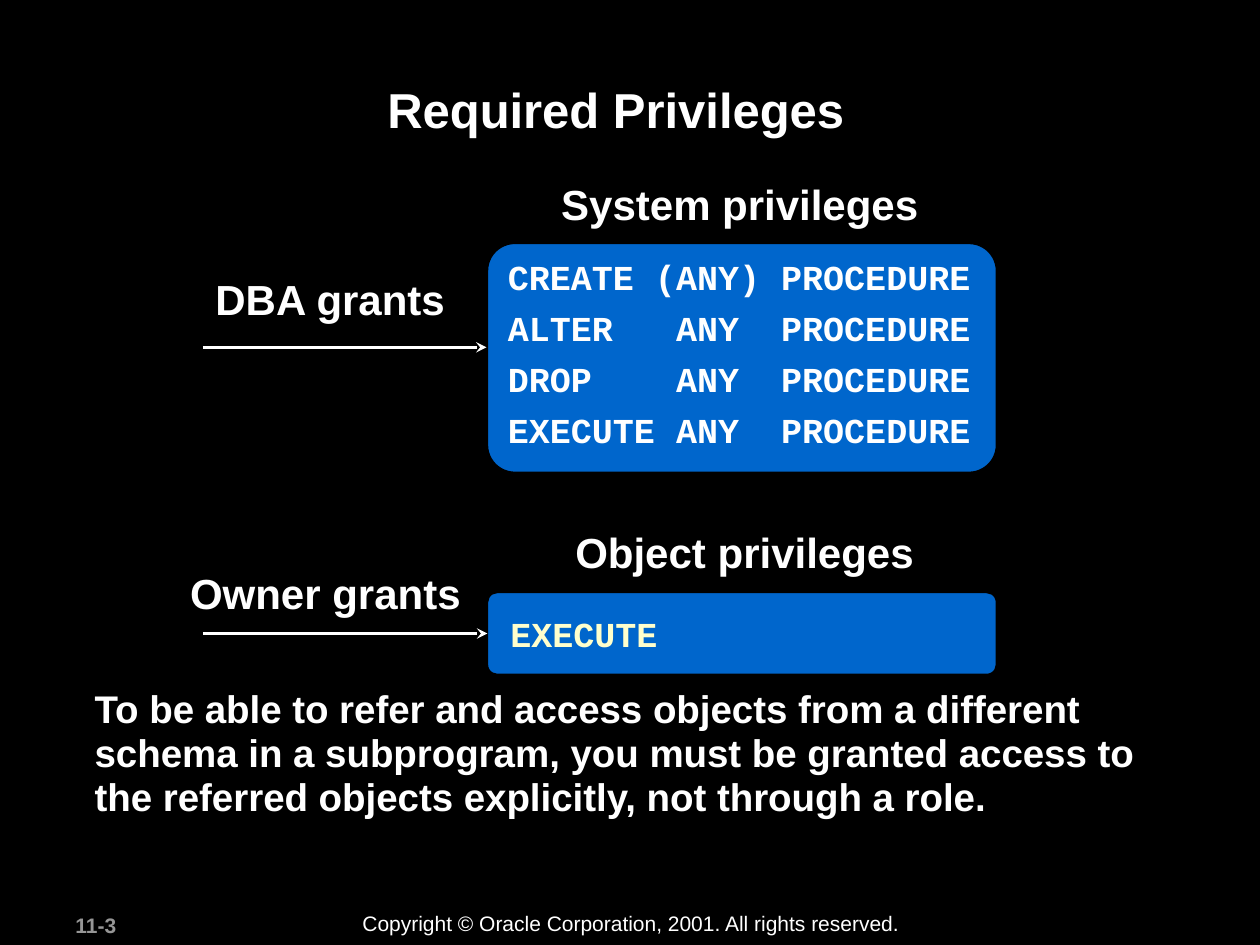
"""Build the Required Privileges slide."""
from dataclasses import dataclass

from lxml import etree
from pptx import Presentation
from pptx.dml.color import RGBColor
from pptx.enum import shapes, text
from pptx.oxml import ns
from pptx.util import Pt


@dataclass(frozen=True)
class Theme:
    black: str = "000000"
    white: str = "FFFFFF"
    blue: str = "0066CC"
    cream: str = "FFFFCC"
    grey: str = "969696"
    sans: str = "Arial"
    mono: str = "Courier New"
    title: int = 28
    label: int = 24
    note: int = 22
    code: int = 20
    footer: int = 12


THEME = Theme()
LEFT, CENTER = text.PP_ALIGN.LEFT, text.PP_ALIGN.CENTER
PANEL_LEFT, PANEL_WIDTH = 278.5, 291
ARROW_LEFT = 116
BODY_LINES = (
    "CREATE (ANY) PROCEDURE",
    "ALTER   ANY  PROCEDURE",
    "DROP    ANY  PROCEDURE",
    "EXECUTE ANY  PROCEDURE",
)


def place(holder, left, top, width, height):
    holder.left, holder.top = Pt(left), Pt(top)
    holder.width, holder.height = Pt(width), Pt(height)


def write(frame, lines, size, color=THEME.white, face=THEME.sans, bold=True,
          align=LEFT, leading=1.0, gap=0):
    frame.word_wrap = True
    frame.vertical_anchor = text.MSO_ANCHOR.TOP
    for index, line in enumerate(lines):
        paragraph = frame.add_paragraph() if index else frame.paragraphs[0]
        paragraph.text = line
        paragraph.alignment = align
        paragraph.line_spacing = leading
        paragraph.space_before = Pt(gap if index else 0)
        for run in paragraph.runs:
            run.font.name, run.font.size, run.font.bold = face, Pt(size), bold
            run.font.color.rgb = RGBColor.from_string(color)


def add_label(slide, wording, box, size=THEME.label, **style):
    label = slide.shapes.add_textbox(*map(Pt, box))
    write(label.text_frame, [wording], size, **style)
    label.text_frame.auto_size = text.MSO_AUTO_SIZE.SHAPE_TO_FIT_TEXT


def add_panel(slide, top, height):
    panel = slide.shapes.add_shape(
        shapes.MSO_SHAPE.ROUNDED_RECTANGLE,
        Pt(PANEL_LEFT), Pt(top), Pt(PANEL_WIDTH), Pt(height))
    panel.adjustments[0] = 0.12
    panel.shadow.inherit = False
    panel.fill.solid()
    panel.fill.fore_color.rgb = RGBColor.from_string(THEME.blue)
    panel.line.color.rgb = RGBColor.from_string(THEME.black)
    panel.line.width = Pt(1)
    return panel


def add_arrow(slide, y, target=None):
    arrow = slide.shapes.add_connector(
        shapes.MSO_CONNECTOR.STRAIGHT,
        Pt(ARROW_LEFT), Pt(y), Pt(PANEL_LEFT - 0.5), Pt(y))
    arrow.line.color.rgb = RGBColor.from_string(THEME.white)
    arrow.line.width = Pt(2)
    etree.SubElement(arrow.line._get_or_add_ln(), ns.qn("a:tailEnd"), type="stealth")
    etree.SubElement(arrow._element.spPr, ns.qn("a:effectLst"))
    if target is not None:
        arrow.end_connect(target, 1)


def fill_title(slide):
    title = slide.shapes.title
    place(title, 68.5, 42, 574.5, 69)
    title.text_frame.auto_size = text.MSO_AUTO_SIZE.NONE
    write(title.text_frame, ["Required Privileges "], THEME.title, align=CENTER)


def fill_body(slide):
    body = slide.placeholders[1]
    place(body, 283, 146, 287.5, 124.5)
    body.text_frame.auto_size = text.MSO_AUTO_SIZE.NONE
    write(body.text_frame, BODY_LINES, THEME.code, face=THEME.mono,
          leading=0.85, gap=8.8)
    for paragraph in body.text_frame.paragraphs:
        properties = paragraph._p.get_or_add_pPr()
        properties.set("marL", "0")
        properties.set("indent", "0")
        etree.SubElement(properties, ns.qn("a:buNone"))


def main():
    deck = Presentation()
    deck.slide_width, deck.slide_height = Pt(720), Pt(540)
    slide = deck.slides.add_slide(deck.slide_layouts[1])
    slide.background.fill.solid()
    slide.background.fill.fore_color.rgb = RGBColor.from_string(THEME.black)

    add_panel(slide, 139, 131)
    object_panel = add_panel(slide, 338.5, 47)
    add_arrow(slide, 198.5)
    add_arrow(slide, 362, object_panel)
    slide.shapes._spTree.append(slide.shapes.title._element)
    slide.shapes._spTree.append(slide.placeholders[1]._element)
    fill_title(slide)
    fill_body(slide)

    add_label(slide, "System privileges", (252.5, 98.5, 340.5, 36), align=CENTER)
    add_label(slide, "Object privileges", (255.5, 297.5, 340, 36), align=CENTER)
    add_label(slide, "DBA grants", (116, 152.5, 156, 36))
    add_label(slide, "Owner grants", (101.5, 320.5, 178, 36))
    add_label(slide, "EXECUTE", (284.5, 348, 186.5, 30), THEME.code,
              color=THEME.cream, face=THEME.mono, leading=0.95)
    add_label(slide, "To be able to refer and access objects from a different "
              "schema in a subprogram, you must be granted access to the "
              "referred objects explicitly, not through a role.",
              (47, 390, 618.5, 83), THEME.note, leading=0.95)
    add_label(slide, "11-3", (36, 518, 75.5, 21.5), THEME.footer, color=THEME.grey)
    add_label(slide, "Copyright © Oracle Corporation, 2001. All rights reserved.",
              (200, 517, 322.5, 21.5), THEME.footer, bold=False)
    deck.save("out.pptx")


if __name__ == "__main__":
    main()
